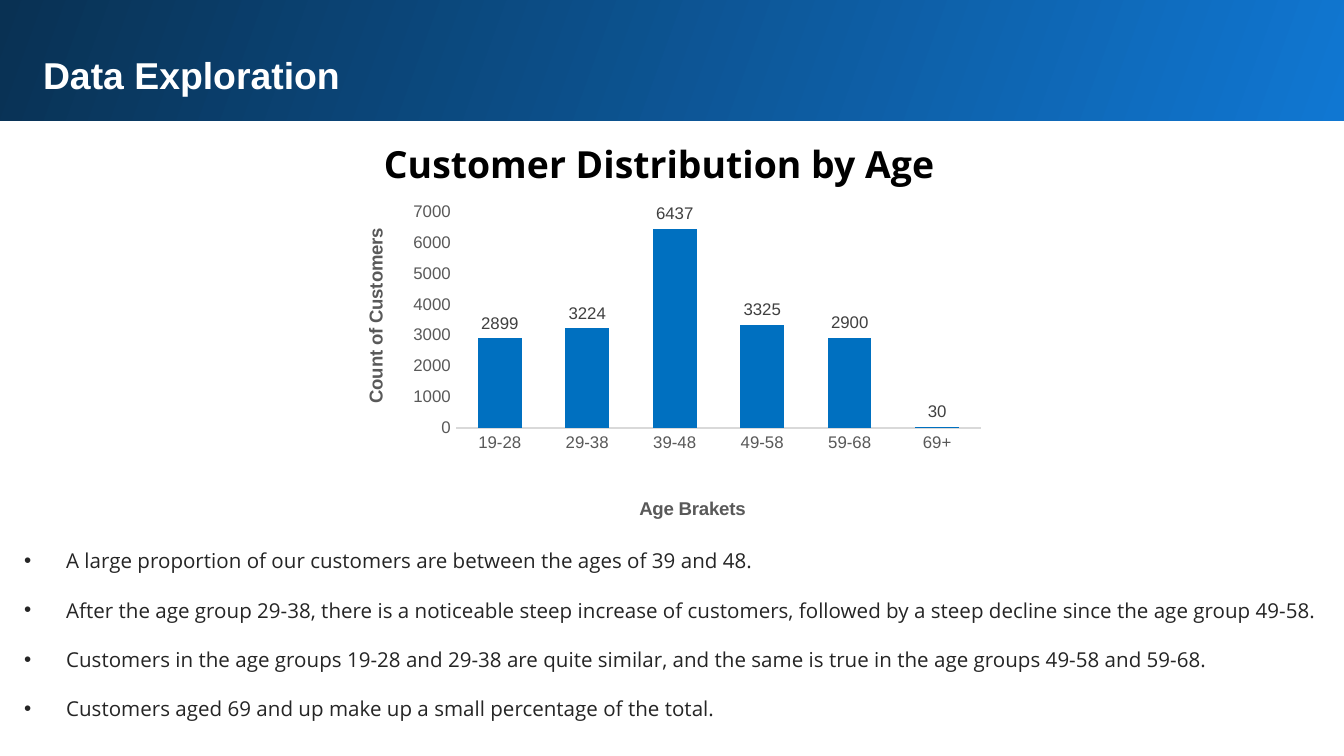
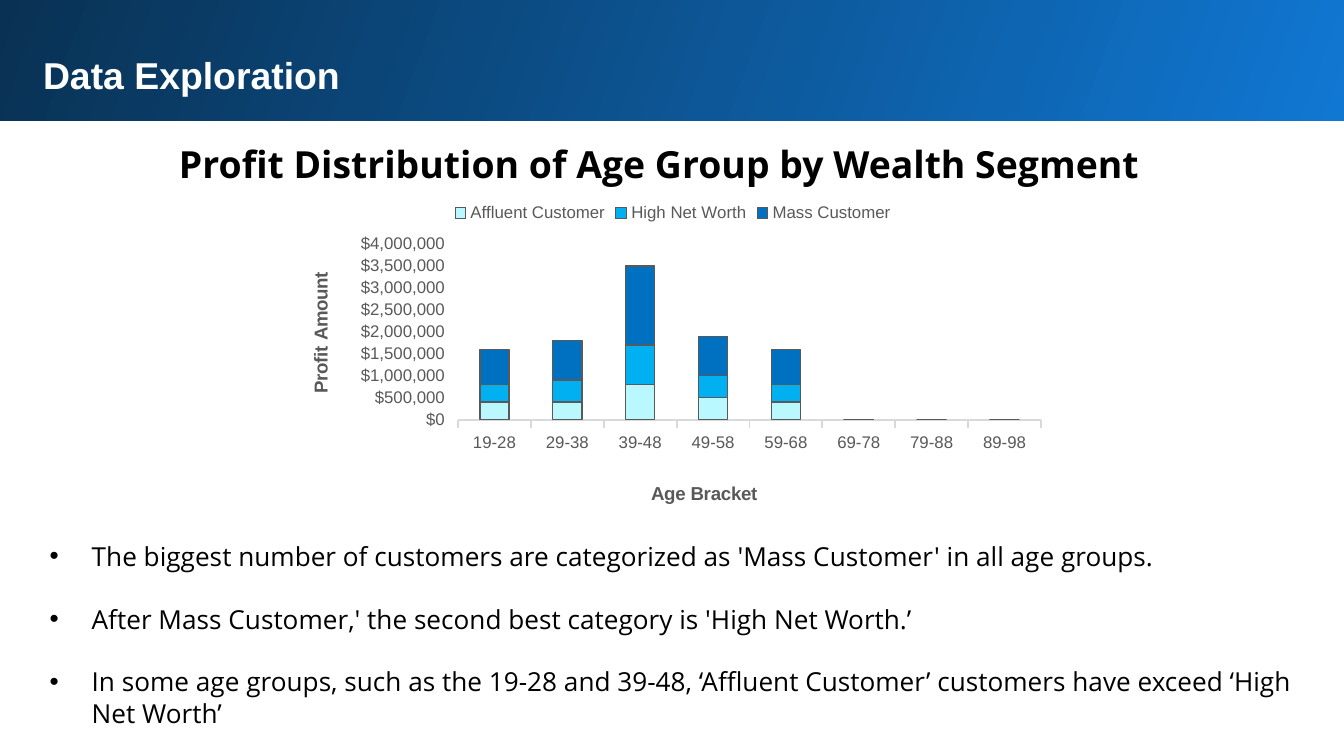
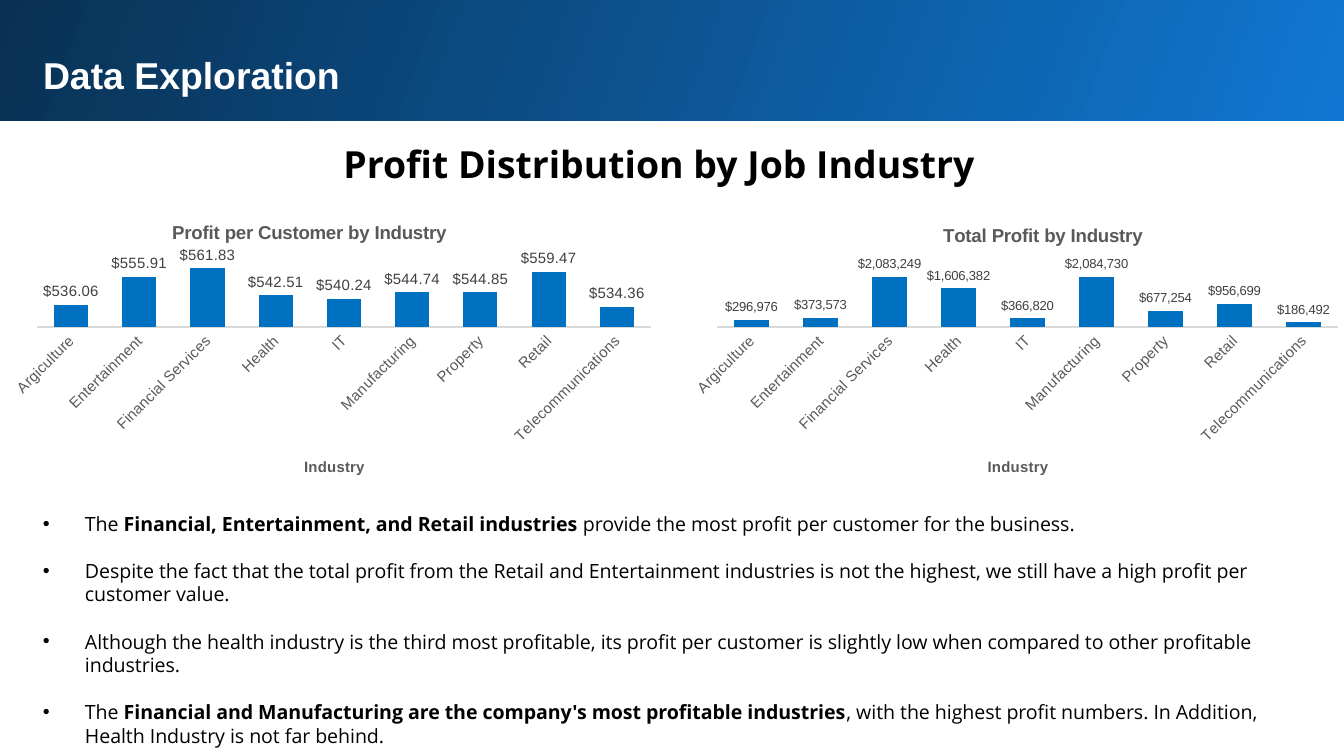
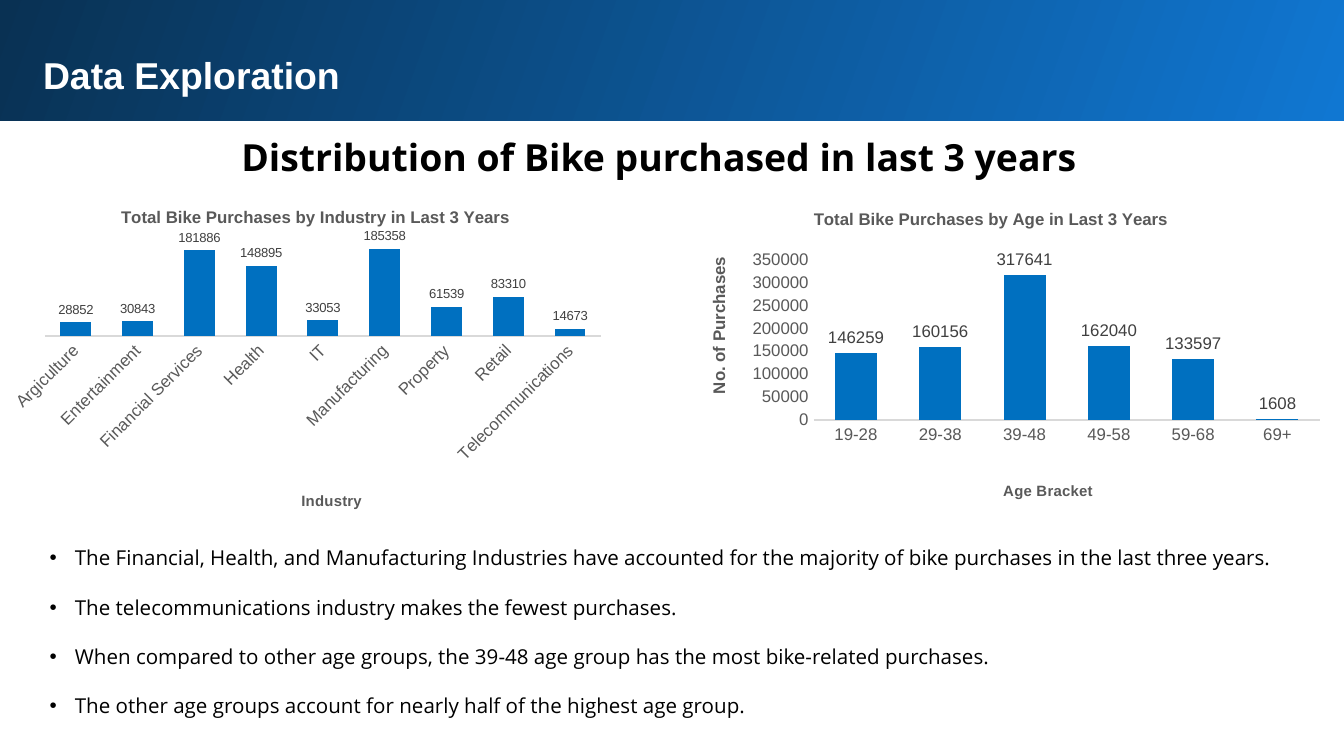
"""Build four data exploration slides with bar charts and bullet notes."""
from lxml.etree import SubElement
from pptx import Presentation
from pptx.chart.data import CategoryChartData
from pptx.dml.color import RGBColor
from pptx.enum.chart import XL_CHART_TYPE, XL_LABEL_POSITION, XL_LEGEND_POSITION, XL_TICK_MARK
from pptx.enum.shapes import MSO_SHAPE
from pptx.enum.text import MSO_ANCHOR, MSO_AUTO_SIZE, PP_ALIGN
from pptx.oxml.ns import qn
from pptx.util import Pt

WHITE = RGBColor(0xFF, 0xFF, 0xFF)
BLACK = RGBColor(0, 0, 0)
INK = RGBColor(0x25, 0x25, 0x25)
GRAY = RGBColor(0x59, 0x59, 0x59)
DARK = RGBColor(0x40, 0x40, 0x40)
PALE = RGBColor(0xD9, 0xD9, 0xD9)
NAVY = RGBColor(0x09, 0x31, 0x53)
BRIGHT = RGBColor(0x10, 0x77, 0xD2)
BLUE = RGBColor(0x00, 0x70, 0xC0)
SKY = RGBColor(0x00, 0xB0, 0xF0)
ICE = RGBColor(0xBA, 0xF8, 0xFF)
SANS, BODY = "Arial", "Open Sans"
HEAD = "Data Exploration"

AGES = ["19-28", "29-38", "39-48", "49-58", "59-68"]
OLDER = AGES + ["69+"]
SPANS = AGES + ["69-78", "79-88", "89-98"]
JOBS = ["Argiculture", "Entertainment", "Financial Services", "Health", "IT",
        "Manufacturing", "Property", "Retail", "Telecommunications"]

PAGES = [
    {"sub": "Customer Distribution by Age", "gap": 1.15,
     "notes": {"box": (9.36, 290.16, 701.28, 100.8), "size": 11, "color": INK, "dent": 22.5, "items": [
         ("A large proportion of our customers are between the ages of 39 and 48.",),
         ("After the age group 29-38, there is a noticeable steep increase of customers, "
          "followed by a steep decline since the age group 49-58.",),
         ("Customers in the age groups 19-28 and 29-38 are quite similar, "
          "and the same is true in the age groups 49-58 and 59-68.",),
         ("Customers aged 69 and up make up a small percentage of the total.",)]},
     "charts": [
         {"box": (182.88, 105.12, 349.92, 176.4), "plot": (244.3, 113.6, 281.2, 116.2),
          "cats": OLDER, "rows": [("Series 1", [2899, 3224, 6437, 3325, 2900, 30], BLUE)],
          "scale": (0, 7000, 1000), "size": 9, "label": 9,
          "x": ("Age Brakets", 10, 340.7, 265), "y": ("Count of Customers", 10, 193, 121)}]},
    {"sub": "Profit Distribution of Age Group by Wealth Segment", "gap": 1.15,
     "notes": {"box": (23.04, 285.84, 674.64, 108.72), "size": 14, "color": BLACK, "dent": 22.5, "items": [
         ("The biggest number of customers are categorized as 'Mass Customer' in all age groups.",),
         ("After Mass Customer,' the second best category is 'High Net Worth.’",),
         ("In some age groups, such as the 19-28 and 39-48, ‘Affluent Customer’ "
          "customers have exceed ‘High Net Worth’",)]},
     "charts": [
         {"box": (154.08, 100.8, 412.56, 175.68), "plot": (245.4, 130.7, 312.3, 94.3),
          "cats": SPANS, "rows": [
              ("Affluent Customer", [400000, 400000, 800000, 500000, 400000, 0, None, 0], ICE),
              ("High Net Worth", [400000, 500000, 900000, 500000, 400000, 0, None, None], SKY),
              ("Mass Customer", [800000, 900000, 1800000, 900000, 800000, None, 0, None], BLUE)],
          "scale": (0, 4000000, 500000), "size": 9, "format": '"$"#,##0',
          "x": ("Age Bracket", 10, 347, 256), "y": ("Profit Amount", 10, 163.5, 144)}]},
    {"sub": "Profit Distribution by Job Industry", "gap": 1.15,
     "notes": {"box": (19.44, 270.72, 674.64, 134.64), "size": 10.5, "color": BLACK, "dent": 22.5, "items": [
         ("The ", "Financial, Entertainment, and Retail industries ",
          "provide the most profit per customer for the business."),
         ("Despite the fact that the total profit from the Retail and Entertainment industries "
          "is not the highest, we still have a high profit per customer value.",),
         ("Although the health industry is the third most profitable, its profit per customer "
          "is slightly low when compared to other profitable industries.",),
         ("The ", "Financial and Manufacturing are the company's most profitable industries",
          ", with the highest profit numbers. In Addition, Health Industry is not far behind.")]},
     "charts": [
         {"box": (0, 114.48, 355.68, 151.92), "plot": (19.8, 137.7, 329, 37.5),
          "cats": JOBS, "rows": [("Series 1", [536.06, 555.91, 561.83, 542.51, 540.24,
                                               544.74, 544.85, 559.47, 534.36], BLUE)],
          "scale": (520, 570, 10), "size": 8, "label": 8, "format": '"$"#,##0.00',
          "title": ("Profit per Customer by Industry", 10, 90.5, 116.5),
          "x": ("Industry", 8, 161.5, 243)},
         {"box": (364.32, 114.48, 359.28, 151.92), "plot": (384.1, 143, 332.7, 32.2),
          "cats": JOBS, "rows": [("Series 1", [296976, 373573, 2083249, 1606382, 366820,
                                               2084730, 677254, 956699, 186492], BLUE)],
          "scale": (0, 2500000, 500000), "size": 8, "label": 7, "format": '"$"#,##0',
          "title": ("Total Profit by Industry", 10, 503.5, 118),
          "x": ("Industry", 8, 527.7, 243)}]},
    {"sub": "Distribution of Bike purchased in last 3 years", "gap": 1,
     "notes": {"box": (23.04, 288.72, 674.64, 100.8), "size": 11, "color": BLACK, "dent": 13.5, "items": [
         ("The Financial, Health, and Manufacturing Industries have accounted for "
          "the majority of bike purchases in the last three years.",),
         ("The telecommunications industry makes the fewest purchases.",),
         ("When compared to other age groups, the 39-48 age group has the most bike-related purchases.",),
         ("The other age groups account for nearly half of the highest age group.",)]},
     "charts": [
         {"box": (0, 103.68, 328.32, 174.24), "plot": (24.1, 129.6, 297.9, 50.4),
          "cats": JOBS, "rows": [("Series 1", [28852, 30843, 181886, 148895, 33053,
                                               185358, 61539, 83310, 14673], BLUE)],
          "scale": (0, 200000, 50000), "size": 9, "label": 7,
          "title": ("Total Bike Purchases by Industry in Last 3 Years", 9, 63.2, 109),
          "x": ("Industry", 8, 160, 261.5)},
         {"box": (365.76, 108, 347.76, 162), "plot": (436, 139.3, 271, 85.7),
          "cats": OLDER, "rows": [("Series 1", [146259, 160156, 317641, 162040, 133597, 1608], BLUE)],
          "scale": (0, 350000, 50000), "size": 9, "label": 9,
          "title": ("Total Bike Purchases by Age in Last 3 Years", 9, 434.3, 110),
          "x": ("Age Bracket", 8, 536, 256), "y": ("No. of Purchases", 9, 377.5, 136)}]},
]


def style(font, size, color, name=SANS, bold=False):
    font.size, font.name, font.bold = Pt(size), name, bold
    font.color.rgb = color


def write(para, text, *look):
    run = para.add_run()
    run.text = text
    style(run.font, *look)


def move(shape, box):
    shape.left, shape.top, shape.width, shape.height = map(Pt, box)


def frame(shape, inset):
    text = shape.text_frame
    text.word_wrap = True
    text.auto_size = MSO_AUTO_SIZE.SHAPE_TO_FIT_TEXT
    text.vertical_anchor = MSO_ANCHOR.TOP
    text.margin_left = text.margin_right = text.margin_top = text.margin_bottom = Pt(inset)
    return text


def header(slide, page):
    band = slide.shapes.add_shape(MSO_SHAPE.RECTANGLE, Pt(0), Pt(-1.44), Pt(720), Pt(66.24))
    band.shadow.inherit = False
    band.line.fill.background()
    band.fill.gradient()
    band.fill.gradient_angle = 160
    for stop, color in zip(band.fill.gradient_stops, (BRIGHT, NAVY)):
        stop.color.rgb = color
    band.element.getparent().insert(2, band.element)
    title = slide.shapes.title
    move(title, (15.84, 20.88, 674.64, 38.88))
    para = frame(title, 7.2).paragraphs[0]
    para.alignment = PP_ALIGN.LEFT
    write(para, HEAD, 20, WHITE, SANS, True)
    sub = slide.shapes.add_textbox(Pt(15.84), Pt(64.8), Pt(674.64), Pt(40))
    para = frame(sub, 7.2).paragraphs[0]
    para.alignment, para.line_spacing = PP_ALIGN.CENTER, page["gap"]
    write(para, page["sub"], 20, BLACK, BODY, True)


def bullets(slide, notes):
    text = frame(slide.shapes.add_textbox(*map(Pt, notes["box"])), 3.6)
    for place, item in enumerate(notes["items"]):
        para = text.add_paragraph() if place else text.paragraphs[0]
        if place < len(notes["items"]) - 1:
            para.space_after = Pt(notes["size"] * 1.2)
        for turn, part in enumerate(item):
            write(para, part, notes["size"], notes["color"], BODY, turn % 2 == 1)
        props = para._p.get_or_add_pPr()
        props.set("marL", str(Pt(notes["dent"])))
        props.set("indent", str(-Pt(notes["dent"])))
        SubElement(props, qn("a:buFont")).set("typeface", SANS)
        SubElement(props, qn("a:buChar")).set("char", "•")


def layout(node, index, box, outer):
    for old in node.findall(qn("c:layout")):
        node.remove(old)
    holder = SubElement(node, qn("c:layout"))
    node.insert(index, holder)
    manual = SubElement(holder, qn("c:manualLayout"))
    left, top, width, height = outer
    pairs = [("xMode", "edge"), ("yMode", "edge"),
             ("x", (box[0] - left) / width), ("y", (box[1] - top) / height)]
    if len(box) == 4:
        pairs.insert(0, ("layoutTarget", "inner"))
        pairs += [("w", box[2] / width), ("h", box[3] / height)]
    for key, value in pairs:
        SubElement(manual, qn("c:" + key)).set("val", str(value))


def caption(title, data, outer):
    text, size, left, top = data
    write(title.text_frame.paragraphs[0], text, size, GRAY, SANS, True)
    layout(title.element, 1, (left, top), outer)


def graph(slide, data):
    box, stacked = data["box"], len(data["rows"]) > 1
    form = data.get("format", "General")
    source = CategoryChartData(number_format=form)
    source.categories = data["cats"]
    for name, values, _ in data["rows"]:
        source.add_series(name, values)
    kind = XL_CHART_TYPE.COLUMN_STACKED if stacked else XL_CHART_TYPE.COLUMN_CLUSTERED
    chart = slide.shapes.add_chart(kind, *map(Pt, box), source).chart
    style(chart.font, 10, BLACK)
    chart.has_title = "title" in data
    if chart.has_title:
        caption(chart.chart_title, data["title"], box)
        chart.chart_title.include_in_layout = False
    chart.has_legend = stacked
    if stacked:
        chart.legend.position = XL_LEGEND_POSITION.TOP
        chart.legend.include_in_layout = False
        style(chart.legend.font, 9, GRAY)
    plot = chart.plots[0]
    plot.vary_by_categories = False
    plot.gap_width, plot.overlap = (150, 100) if stacked else (100, -24)
    for series, (_, _, color) in zip(plot.series, data["rows"]):
        series.format.fill.solid()
        series.format.fill.fore_color.rgb = color
        if stacked:
            series.format.line.color.rgb = GRAY
            series.format.line.width = Pt(0.75)
    if "label" in data:
        plot.has_data_labels = True
        labels = plot.data_labels
        labels.show_value = True
        labels.position = XL_LABEL_POSITION.OUTSIDE_END
        labels.number_format, labels.number_format_is_linked = form, False
        style(labels.font, data["label"], DARK)
    for axis, key in ((chart.category_axis, "x"), (chart.value_axis, "y")):
        axis.has_major_gridlines = False
        axis.major_tick_mark = XL_TICK_MARK.OUTSIDE if stacked else XL_TICK_MARK.NONE
        axis.minor_tick_mark = XL_TICK_MARK.NONE
        style(axis.tick_labels.font, data["size"], GRAY)
        if key in data:
            caption(axis.axis_title, data[key], box)
    base, value = chart.category_axis, chart.value_axis
    base.format.line.color.rgb = PALE
    base.format.line.width = Pt(1)
    if data["cats"] is JOBS:
        base.element_text = None
        tilt(chart)
    value.format.line.fill.background()
    value.minimum_scale, value.maximum_scale, value.major_unit = data["scale"]
    value.tick_labels.number_format = form
    value.tick_labels.number_format_is_linked = False
    value.visible = "y" in data
    layout(chart.element.find(".//" + qn("c:plotArea")), 0, data["plot"], box)


def tilt(chart):
    names = ("c:catAx", "c:txPr", "a:bodyPr")
    body = chart.element.find(".//" + "/".join(map(qn, names)))
    body.set("rot", "-2700000")
    body.set("vert", "horz")


def build():
    deck = Presentation()
    deck.slide_width, deck.slide_height = Pt(720), Pt(405)
    for page in PAGES:
        slide = deck.slides.add_slide(deck.slide_layouts[5])
        header(slide, page)
        bullets(slide, page["notes"])
        for data in page["charts"]:
            graph(slide, data)
    deck.save("out.pptx")


build()
